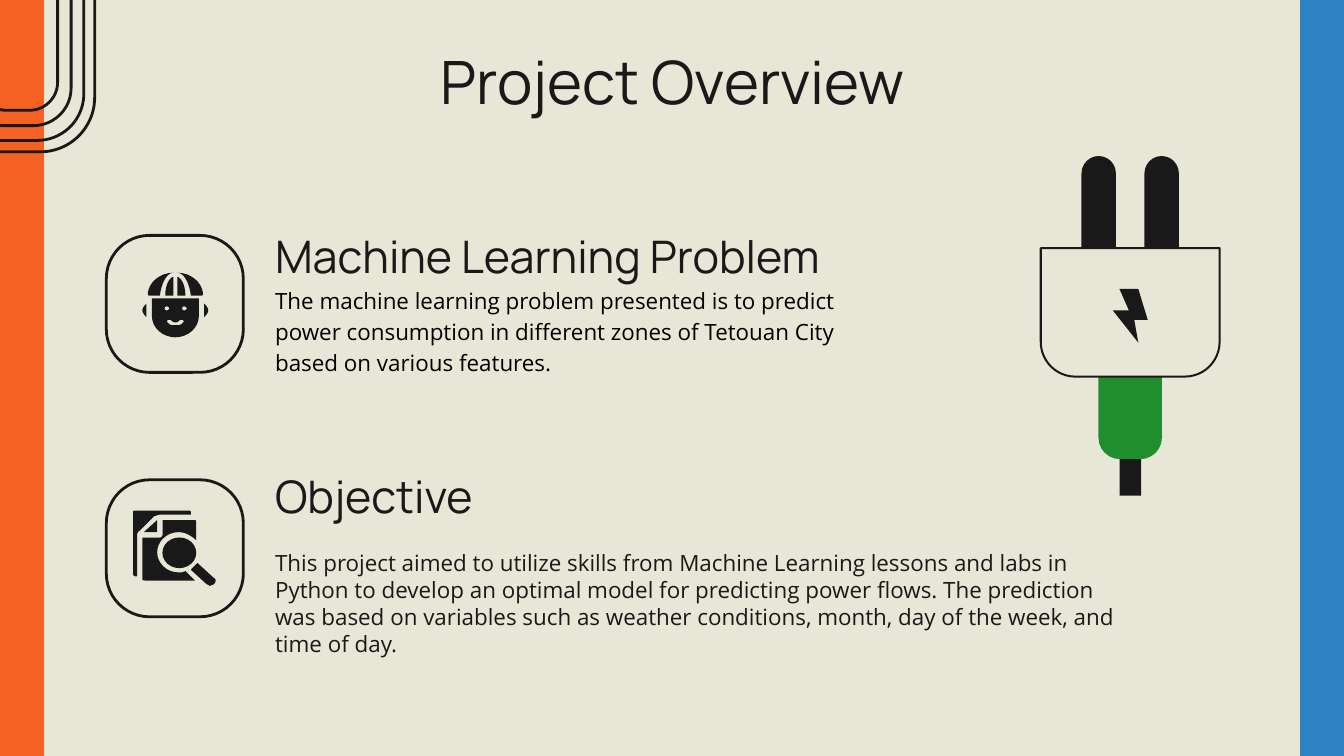
"""Build the project overview slide with two icon topics and a power plug."""
from pptx import Presentation
from pptx.dml.color import RGBColor
from pptx.enum.shapes import MSO_SHAPE
from pptx.enum.text import MSO_ANCHOR, MSO_AUTO_SIZE, PP_ALIGN
from pptx.util import Cm, Pt

INK, CREAM, ORANGE, BLUE, GREEN = "191919", "E8E6D6", "F46123", "2E83C7", "1F8E2E"
GRID = 0.0254
FACE_AXIS = 130.5
CURVE_STEPS = 8


def paint(shape, fill=None, line=None, weight=1.5):
    """Give a shape its fill and outline, without a shadow."""
    shape.shadow.inherit = False
    if fill:
        shape.fill.solid()
        shape.fill.fore_color.rgb = RGBColor.from_string(fill)
    else:
        shape.fill.background()
    if line:
        shape.line.color.rgb = RGBColor.from_string(line)
        shape.line.width = Pt(weight)
    else:
        shape.line.fill.background()


def trace(outline, mirrored=False):
    """Draw an ink outline of M, L and C steps given in grid units."""
    contours = []
    for step in outline.split(","):
        command, *numbers = step.split()
        values = [float(number) for number in numbers]
        points = list(zip(values[::2], values[1::2]))
        if command == "M":
            contours.append(points)
        elif command == "L":
            contours[-1] += points
        else:
            start = contours[-1][-1]
            for index in range(1, CURVE_STEPS + 1):
                t = index / CURVE_STEPS
                weights = ((1 - t) ** 3, 3 * t * (1 - t) ** 2, 3 * t * t * (1 - t), t ** 3)
                corners = (start, *points)
                contours[-1].append(tuple(
                    sum(w * corner[axis] for w, corner in zip(weights, corners))
                    for axis in (0, 1)))
    builder = None
    for contour in contours:
        placed = [(Cm((2 * FACE_AXIS - x if mirrored else x) * GRID), Cm(y * GRID))
                  for x, y in contour]
        if builder is None:
            builder = page.shapes.build_freeform(*placed[0])
        else:
            builder.move_to(*placed[0])
        builder.add_line_segments(placed[1:], close=True)
    paint(builder.convert_to_shape(), INK)


deck = Presentation()
deck.slide_width, deck.slide_height = Cm(25.4), Cm(14.29)
page = deck.slides.add_slide(deck.slide_layouts[5])
page.background.fill.solid()
page.background.fill.fore_color.rgb = RGBColor.from_string(CREAM)

rectangle, rounded = MSO_SHAPE.RECTANGLE, MSO_SHAPE.ROUNDED_RECTANGLE
side_bars = [(rectangle, left, 0, 0.82, 14.29, [], color, color, 0.75)
             for left, color in ((0, ORANGE), (24.58, BLUE))]
corner_rings = [(rounded, 0.34 - width / 2, -2.12 - height / 2, width, height,
                 [0.354], None, INK, 1.5)
                for width, height in ((2.9, 9.98), (2.49, 9.55), (2.01, 8.99), (1.5, 8.41))]
icon_frames = [(rounded, 2.01, top, 2.59, 2.59, [0.316], None, INK, 1.5)
               for top in (4.45, 9.07)]
lens = [(MSO_SHAPE.OVAL, 3.07, 10.16, 0.64, 0.58, [], INK, None, 0)]
plug = [
    (rectangle, 21.16, 7.77, 0.41, 1.6, [], INK, None, 0),
    (rounded, 20.76, 5.9, 1.2, 2.78, [0.34], GREEN, None, 0),
    (rounded, 20.44, 2.95, 0.65, 3.18, [0.5], INK, None, 0),
    (rounded, 21.63, 2.95, 0.65, 3.18, [0.5], INK, None, 0),
    (MSO_SHAPE.ROUND_2_SAME_RECTANGLE, 19.67, 4.69, 3.38, 2.43, [0, 0.27], CREAM, INK, 1.09),
]
for kind, left, top, width, height, adjustments, fill, line, weight in (
        side_bars + corner_rings + icon_frames + lens + plug):
    shape = page.shapes.add_shape(kind, Cm(left), Cm(top), Cm(width), Cm(height))
    for index, value in enumerate(adjustments):
        shape.adjustments[index] = value
    paint(shape, fill, line, weight)

helmet_side = "M 132 203,C 137 203 141 211 142 220,L 150 220,C 151 220 151 219 151 218,C 150 210 142 203 132 203"
helmet_center = "M 132 206,L 132 220,L 138 220,C 138 212 135 207 132 206"
ear = "M 152 226,L 152 236,C 153 235 155 233 155 231,C 155 229 153 227 152 226"
for outline in (helmet_side, helmet_center, ear):
    for mirrored in (False, True):
        trace(outline, mirrored)

face = (
    "M 113 222,L 113 235,C 113 244 121 251 130.5 251,C 140 251 148 244 148 235,L 148 222,"
    "M 124 228,C 125 228 126 229 126 229.5,C 126 230 125 231 124 231,"
    "C 123 231 122.5 230 122.5 229.5,C 122.5 229 123 228 124 228,"
    "M 137 228,C 138 228 139 229 139 229.5,C 139 230 138 231 137 231,"
    "C 136 231 135.5 230 135.5 229.5,C 135.5 229 136 228 137 228,"
    "M 135 238,C 136 238 136 238 136 238,C 137 239 137 240 136 240,"
    "C 135 242 133 242 130.5 242,C 128 242 126 242 125 240,C 124 240 124 239 125 238,"
    "C 125 238 126 238 127 238,C 128 239 129 240 130.5 240,C 132 240 133 239 134 238")
back_sheet = (
    "M 101 380,C 100 380 99 380 99 381,L 99 427,C 99 428 100 429 101 429,L 102 429,L 102 398,"
    "C 102 397 103 395 104 395,L 115 384,C 116 384 118 383 119 383,L 142 383,L 142 381,"
    "C 142 380 141 380 140 380")
folded_corner = "M 117 387,L 107 396,L 117 396"
front_sheet = (
    "M 121 387,L 121 398,C 121 399 120 400 119 400,L 106 400,L 106 431,C 106 432 107 432 108 432,"
    "L 144 432,L 145 432,L 138 425,C 136 426 135 426 133 426,C 124 426 117 419 117 411,"
    "C 117 403 124 396 133 396,C 138 396 143 399 146 402,L 146 388,C 146 387 145 387 144 387")
lens_handle = (
    "M 147 419,C 145 421 144 422 142 424,L 154 435,C 155 435 156 436 156 436,"
    "C 157 436 158 435 159 435,C 161 433 161 431 159 430")
bolt = "M 847 255,L 828 231,L 840 231,L 833 215,L 847 215,L 854 238,L 844 238"
for outline in (face, back_sheet, folded_corner, front_sheet, lens_handle, bolt):
    trace(outline)

title = page.shapes.title
title.left, title.top, title.width, title.height = Cm(2.01), Cm(0.84), Cm(21.41), Cm(1.6)
texts = [(title, "Project Overview", "Manrope", 32, INK, MSO_ANCHOR.TOP, 1)]
for left, top, width, height, *style in (
    (4.95, 4.17, 13.72, 1.42, "Machine Learning Problem", "Manrope", 24, INK, MSO_ANCHOR.BOTTOM, 1),
    (4.95, 5.11, 12.09, 2.34,
     "The machine learning problem presented is to predict power consumption in different "
     "zones of Tetouan City based on various features.",
     "Open Sans", 12, "000000", MSO_ANCHOR.TOP, 1.15),
    (4.95, 8.71, 4.9, 1.42, "Objective", "Manrope", 24, INK, MSO_ANCHOR.BOTTOM, 1),
    (4.95, 10.13, 16.79, 2.59,
     "This project aimed to utilize skills from Machine Learning lessons and labs in Python "
     "to develop an optimal model for predicting power flows. The prediction was based on "
     "variables such as weather conditions, month, day of the week, and time of day.",
     "Open Sans", 12, INK, MSO_ANCHOR.TOP, 1),
):
    box = page.shapes.add_textbox(Cm(left), Cm(top), Cm(width), Cm(height))
    texts.append((box, *style))

for box, words, font, size, color, anchor, spacing in texts:
    frame = box.text_frame
    frame.text = words
    frame.word_wrap = True
    frame.auto_size = MSO_AUTO_SIZE.NONE
    frame.vertical_anchor = anchor
    frame.margin_left = frame.margin_right = frame.margin_bottom = Cm(0.25)
    frame.margin_top = Cm(0 if box is title else 0.25)
    paragraph = frame.paragraphs[0]
    paragraph.alignment = PP_ALIGN.CENTER if box is title else PP_ALIGN.LEFT
    paragraph.line_spacing = spacing
    span = paragraph.runs[0]
    span.font.name = font
    span.font.size = Pt(size)
    span.font.color.rgb = RGBColor.from_string(color)

deck.save("out.pptx")
